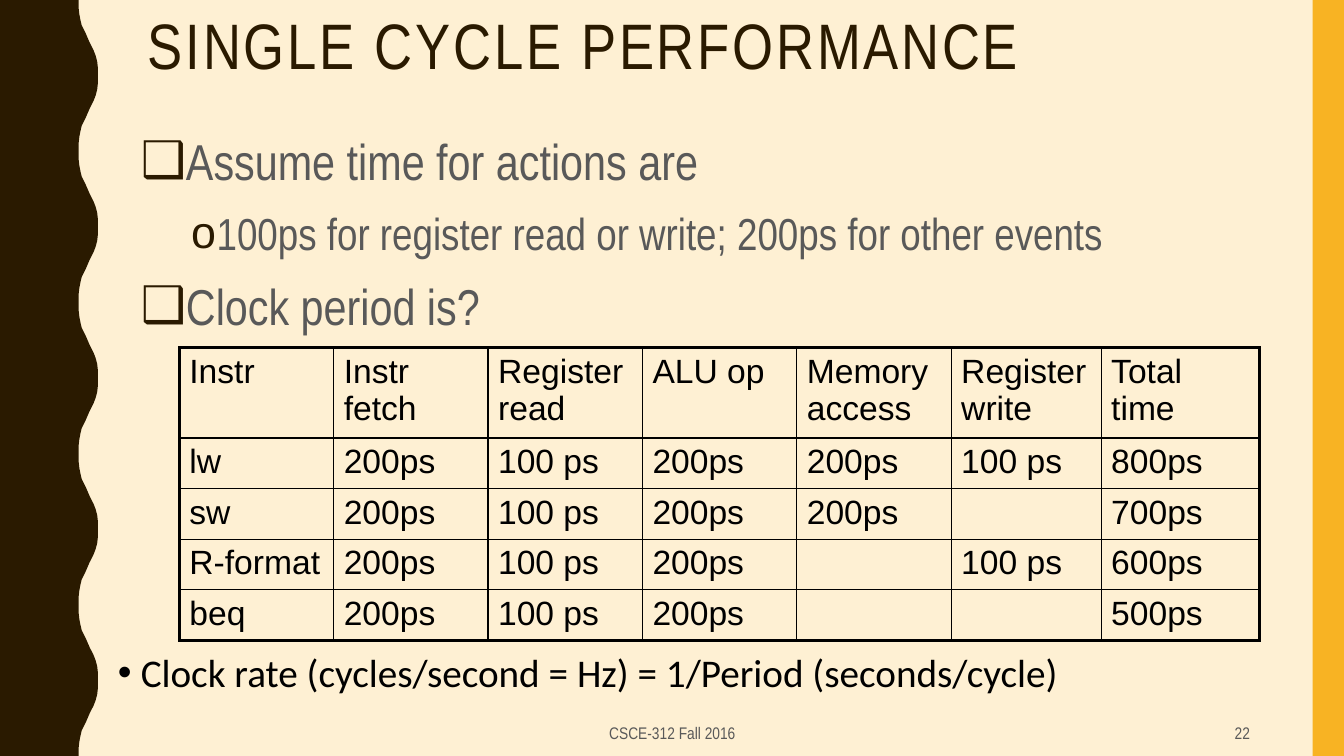
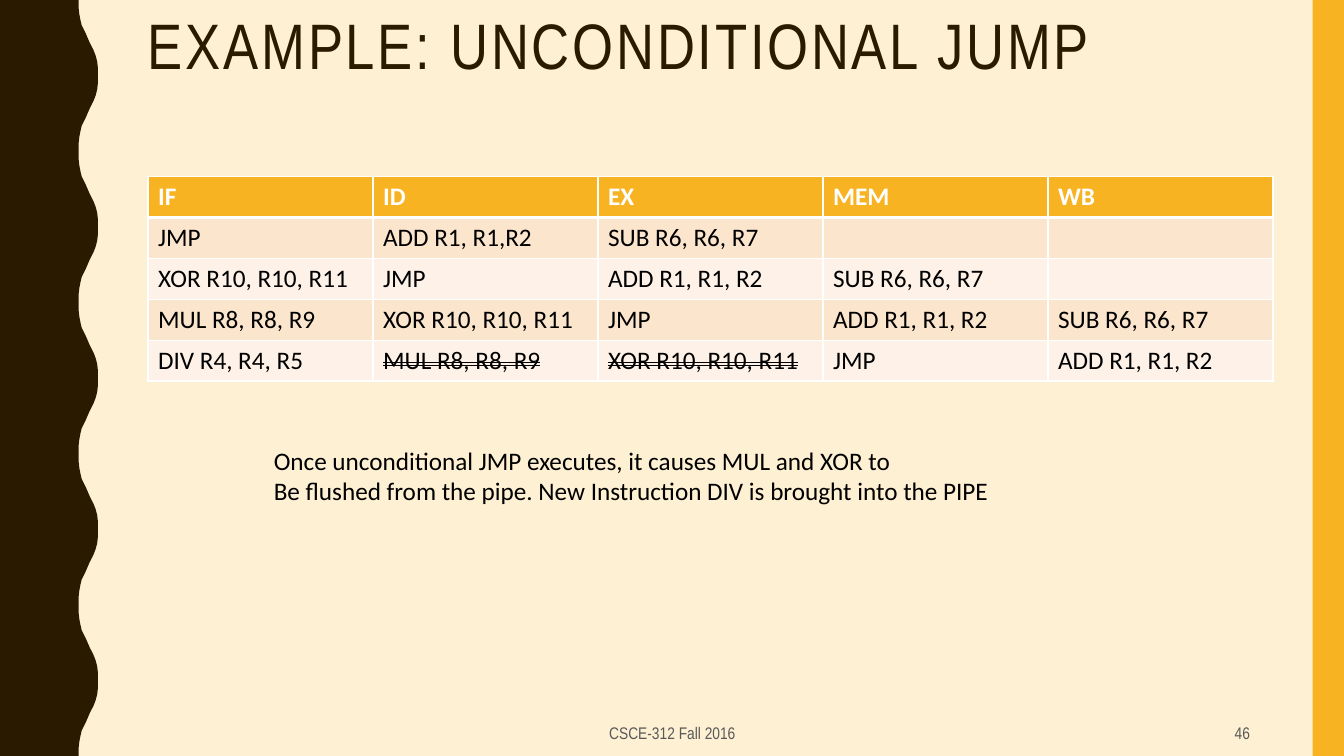
"""Build two course slides on processor timing and pipeline flushing."""
from lxml.etree import SubElement
from pptx import Presentation
from pptx.dml.color import RGBColor
from pptx.enum.shapes import MSO_SHAPE as Preset
from pptx.enum.text import MSO_ANCHOR as Anchor, PP_ALIGN as Align
from pptx.oxml.ns import qn
from pptx.util import Cm, Pt

COLORS = {
    "cream": "FEF0D3", "brown": "2A1A00", "gold": "F8B323", "gray": "595959",
    "black": "000000", "white": "FFFFFF", "peach": "FCE5CD", "pale": "FEF2E8",
}
RGB = {name: RGBColor.from_string(value) for name, value in COLORS.items()}
NARROW = "Arial Narrow"
FOOTER = "CSCE-312 Fall 2016"
WAVE_PERIOD = 3.81
WAVE_COUNT = 5
HALF_WAVE = [
    (1.98, 0), (1.98, 0.18), (2, 0.36), (2.03, 0.51), (2.06, 0.64), (2.16, 0.84),
    (2.26, 1.07), (2.36, 1.27), (2.41, 1.4), (2.45, 1.55), (2.47, 1.73), (2.47, 1.9),
]
SLIDES = [("SINGLE CYCLE PERFORMANCE", "22"), ("EXAMPLE: UNCONDITIONAL JUMP", "46")]


def add_text(page, area, lines, font, size, color, align=Align.LEFT, anchor=Anchor.TOP):
    box = page.shapes.add_textbox(*map(Cm, area))
    frame = box.text_frame
    frame.word_wrap = True
    frame.vertical_anchor = anchor
    frame.text = "\n".join(lines)
    for para in frame.paragraphs:
        para.alignment = align
        for span in para.runs:
            span.font.name = font
            span.font.size = Pt(size)
            span.font.color.rgb = RGB[color]
    return frame


def add_bullet(para, char, color, margin, hanging):
    props = para._p.get_or_add_pPr()
    props.set("marL", str(Cm(margin)))
    props.set("indent", str(-Cm(hanging)))
    SubElement(SubElement(props, qn("a:buClr")), qn("a:srgbClr"), val=COLORS[color])
    SubElement(props, qn("a:buFont"), typeface="Arial")
    SubElement(props, qn("a:buChar"), char=char)


deck = Presentation()
deck.slide_width = Cm(33.87)
deck.slide_height = Cm(19.05)
background = deck.slide_master.background.fill
background.solid()
background.fore_color.rgb = RGB["cream"]

pages = []
for title, number in SLIDES:
    page = deck.slides.add_slide(deck.slide_layouts[6])
    pages.append(page)

    edge = [(0, 0)]
    for wave in range(WAVE_COUNT):
        top = wave * WAVE_PERIOD
        edge += [(x, top + y) for x, y in HALF_WAVE]
        edge += [(x, top + WAVE_PERIOD - y) for x, y in reversed(HALF_WAVE)]
    edge.append((0, WAVE_COUNT * WAVE_PERIOD))
    points = [(Cm(x), Cm(y)) for x, y in edge]
    builder = page.shapes.build_freeform(*points[0], scale=1.0)
    builder.add_line_segments(points[1:], close=True)
    wavy_band = builder.convert_to_shape()
    gold_band = page.shapes.add_shape(Preset.RECTANGLE, Cm(33.08), 0, Cm(0.79), Cm(19.05))
    for band, color in ((wavy_band, "brown"), (gold_band, "gold")):
        band.shadow.inherit = False
        band.fill.solid()
        band.fill.fore_color.rgb = RGB[color]
        band.line.fill.background()

    heading = add_text(page, (3.48, 0.2, 29.39, 2.03), [title], NARROW, 45.9, "brown",
                       anchor=Anchor.MIDDLE).paragraphs[0]
    heading.line_spacing = 0.9
    heading.runs[0]._r.get_or_add_rPr().set("spc", "200")
    add_text(page, (23.93, 17.98, 7.82, 0.97), [number], NARROW, 12, "gray",
             Align.RIGHT, Anchor.MIDDLE)
    add_text(page, (11.23, 17.98, 11.43, 0.97), [FOOTER], NARROW, 12, "gray",
             Align.CENTER, Anchor.MIDDLE)

performance, jump = pages

body = add_text(performance, (3.3, 3, 26.31, 4.95), [
    "Assume time for actions are",
    "100ps for register read or write; 200ps for other events",
    "Clock period is?",
], NARROW, 36, "gray")
for para, level in zip(body.paragraphs, (0, 1, 0)):
    para.level = level
    para.line_spacing = 1.1
    para.space_before = Pt(7)
    para.runs[0].font.size = Pt(32 if level else 36)
    add_bullet(para, "o" if level else "❑", "brown", 0.64 + 1.27 * level, 0.64)

clock_rate = add_text(performance, (2.72, 16.21, 26.9, 2.64),
                      ["Clock rate (cycles/second = Hz) = 1/Period (seconds/cycle)"],
                      "Calibri", 28, "black")
add_bullet(clock_rate.paragraphs[0], "•", "black", 0.58, 0.58)

add_text(jump, (6.65, 11.1, 19.13, 1.8), [
    "Once unconditional JMP executes, it causes MUL and XOR to",
    "Be flushed from the pipe. New Instruction DIV is brought into the PIPE",
], "Calibri", 18, "black")

timing = {
    "page": performance, "left": 4.52, "top": 8.76, "font": "Arial", "size": 24,
    "columns": [3.89] * 5 + [3.78, 3.99], "heights": [2.24] + [1.25] * 4,
    "line": "black", "outer": 2.25, "under_header": 1.5,
    "header": (None, "black", False), "bands": (None, None), "struck": (),
    "rows": [
        ["Instr", "Instr fetch", "Register read", "ALU op", "Memory access",
         "Register write", "Total time"],
        ["lw", "200ps", "100 ps", "200ps", "200ps", "100 ps", "800ps"],
        ["sw", "200ps", "100 ps", "200ps", "200ps", "", "700ps"],
        ["R-format", "200ps", "100 ps", "200ps", "", "100 ps", "600ps"],
        ["beq", "200ps", "100 ps", "200ps", "", "", "500ps"],
    ],
}
pipeline = {
    "page": jump, "left": 3.73, "top": 4.45, "font": "Calibri", "size": 18,
    "columns": [5.67] * 5, "heights": [1.03] * 5,
    "line": "white", "outer": 1, "under_header": 3,
    "header": ("gold", "white", True), "bands": ("pale", "peach"),
    "struck": ((4, 1), (4, 2)),
    "rows": [
        ["IF", "ID", "EX", "MEM", "WB"],
        ["JMP", "ADD R1, R1,R2", "SUB R6, R6, R7", "", ""],
        ["XOR R10, R10, R11", "JMP", "ADD R1, R1, R2", "SUB R6, R6, R7", ""],
        ["MUL R8, R8, R9", "XOR R10, R10, R11", "JMP", "ADD R1, R1, R2", "SUB R6, R6, R7"],
        ["DIV R4, R4, R5", "MUL R8, R8, R9", "XOR R10, R10, R11", "JMP", "ADD R1, R1, R2"],
    ],
}

for grid in (timing, pipeline):
    rows, columns, heights = grid["rows"], grid["columns"], grid["heights"]
    last_row, last_column = len(rows) - 1, len(columns) - 1
    table = grid["page"].shapes.add_table(
        len(rows), len(columns), Cm(grid["left"]), Cm(grid["top"]),
        Cm(sum(columns)), Cm(sum(heights))).table
    for column, width in zip(table.columns, columns):
        column.width = Cm(width)
    for row, height in zip(table.rows, heights):
        row.height = Cm(height)

    row_lines = [grid["outer"], grid["under_header"]] + [1] * (last_row - 1) + [grid["outer"]]
    column_lines = [grid["outer"]] + [1] * last_column + [grid["outer"]]
    for r, texts in enumerate(rows):
        for c, text in enumerate(texts):
            cell = table.cell(r, c)
            fill, color, bold = grid["header"] if r == 0 else (grid["bands"][r % 2], "black", False)
            props = cell._tc.get_or_add_tcPr()
            borders = {"L": column_lines[c], "R": column_lines[c + 1],
                       "T": row_lines[r], "B": row_lines[r + 1]}
            for side, weight in borders.items():
                line = SubElement(props, qn(f"a:ln{side}"), w=str(Pt(weight)))
                solid = SubElement(line, qn("a:solidFill"))
                SubElement(solid, qn("a:srgbClr"), val=COLORS[grid["line"]])
            if fill:
                cell.fill.solid()
                cell.fill.fore_color.rgb = RGB[fill]
            else:
                cell.fill.background()
            cell.text_frame.text = text
            for span in cell.text_frame.paragraphs[0].runs:
                span.font.name = grid["font"]
                span.font.size = Pt(grid["size"])
                span.font.bold = bold
                span.font.color.rgb = RGB[color]
                if (r, c) in grid["struck"]:
                    span._r.get_or_add_rPr().set("strike", "dblStrike")

deck.save("out.pptx")
